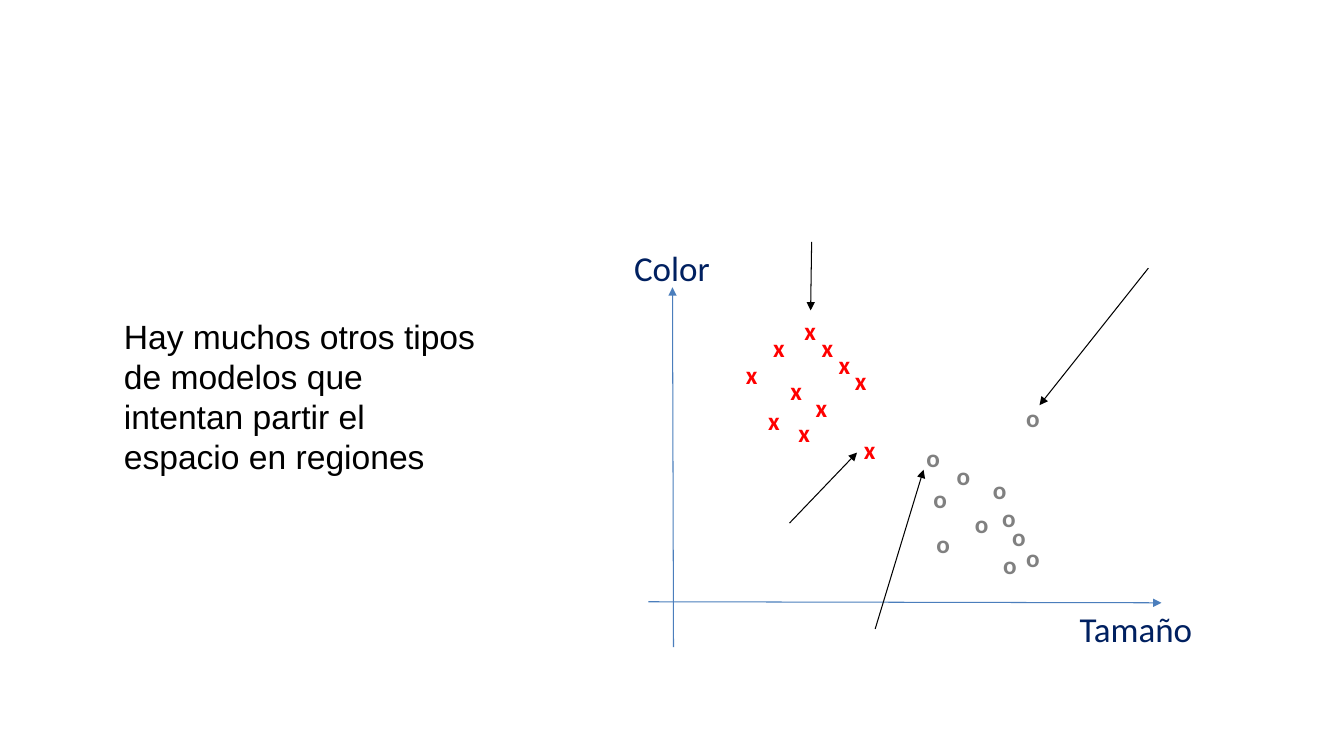
from dataclasses import dataclass
from lxml.etree import SubElement
from pptx import Presentation
from pptx.dml.color import RGBColor as RGB
from pptx.enum.shapes import MSO_CONNECTOR as Conn
from pptx.enum.text import MSO_AUTO_SIZE as Fit
from pptx.oxml.ns import qn
from pptx.util import Emu, Pt

SCALE = 9144  # EMU per px, 100 px to the inch


@dataclass(frozen=True)
class Theme:
    axis: str = "4B7EBC"
    label: str = "002060"
    cross: str = "FF0000"
    ring: str = "808080"
    ink: str = "000000"
    head: str = "Calibri"
    body: str = "Arial"
    mark_pt: int = 18
    label_pt: int = 25
    body_pt: int = 24
    line_pt: float = 0.75


THEME = Theme()

# Left and top of each mark, within the plot
CROSSES = [(188, 68), (205, 85), (222, 102), (238, 118), (199, 144), (130, 112),
           (157, 85), (152, 157), (174, 127), (182, 169), (247, 186)]
RINGS = [(385, 300), (384, 253), (375, 226), (339, 212), (316, 235), (309, 194),
         (394, 272), (357, 259), (319, 279), (408, 293), (408, 154)]

# Start and end of each line, within the plot
AXES = [(68, 402, 67, 45), (43, 357, 552, 358)]
POINTERS = [(539, 26, 431, 162), (183, 279, 250, 209),
            (268, 384, 316, 226), (205, 0, 204, 68)]


def px(n):
    return Emu(n * SCALE)


def add_text(slide, text, box, font, size, color, bold=False, wrap=False):
    frame = slide.shapes.add_textbox(*map(px, box)).text_frame
    frame.word_wrap = wrap
    frame.auto_size = Fit.SHAPE_TO_FIT_TEXT
    para = frame.paragraphs[0]
    para.text = text
    para.font.name = font
    para.font.size = Pt(size)
    para.font.bold = bold
    para.font.color.rgb = RGB.from_string(color)


def add_arrow(slide, ends, color):
    arrow = slide.shapes.add_connector(Conn.STRAIGHT, *map(px, ends))
    arrow.line.color.rgb = RGB.from_string(color)
    arrow.line.width = Pt(THEME.line_pt)
    SubElement(arrow.line._get_or_add_ln(), qn("a:tailEnd"), type="triangle")
    SubElement(arrow._element.spPr, qn("a:effectLst"))


def add_plot(slide, left, top):
    def arrows(lines, color):
        for x1, y1, x2, y2 in lines:
            add_arrow(slide, (left + x1, top + y1, left + x2, top + y2), color)

    def marks(sign, spots, width, color):
        for x, y in spots:
            add_text(slide, sign, (left + x, top + y, width, 40),
                     THEME.head, THEME.mark_pt, color, bold=True)

    # Axes and their labels
    arrows(AXES, THEME.axis)
    for name, x, y, width in [("Color", 19, 0, 96), ("Tamaño", 461, 358, 133)]:
        add_text(slide, name, (left + x, top + y, width, 52),
                 THEME.head, THEME.label_pt, THEME.label)

    # Two classes of points
    marks("x", CROSSES, 32, THEME.cross)
    marks("o", RINGS, 34, THEME.ring)

    # Arrows to the outermost points
    arrows(POINTERS, THEME.ink)


def add_note(slide, box):
    add_text(slide, "Hay muchos otros tipos de modelos que intentan partir "
             "el espacio en regiones", box,
             THEME.body, THEME.body_pt, THEME.ink, wrap=True)


def main():
    deck = Presentation()
    deck.slide_width, deck.slide_height = px(1333), px(750)
    slide = deck.slides.add_slide(deck.slide_layouts[6])
    add_plot(slide, 600, 240)
    add_note(slide, (113, 308, 375, 172))
    deck.save("out.pptx")


if __name__ == "__main__":
    main()
